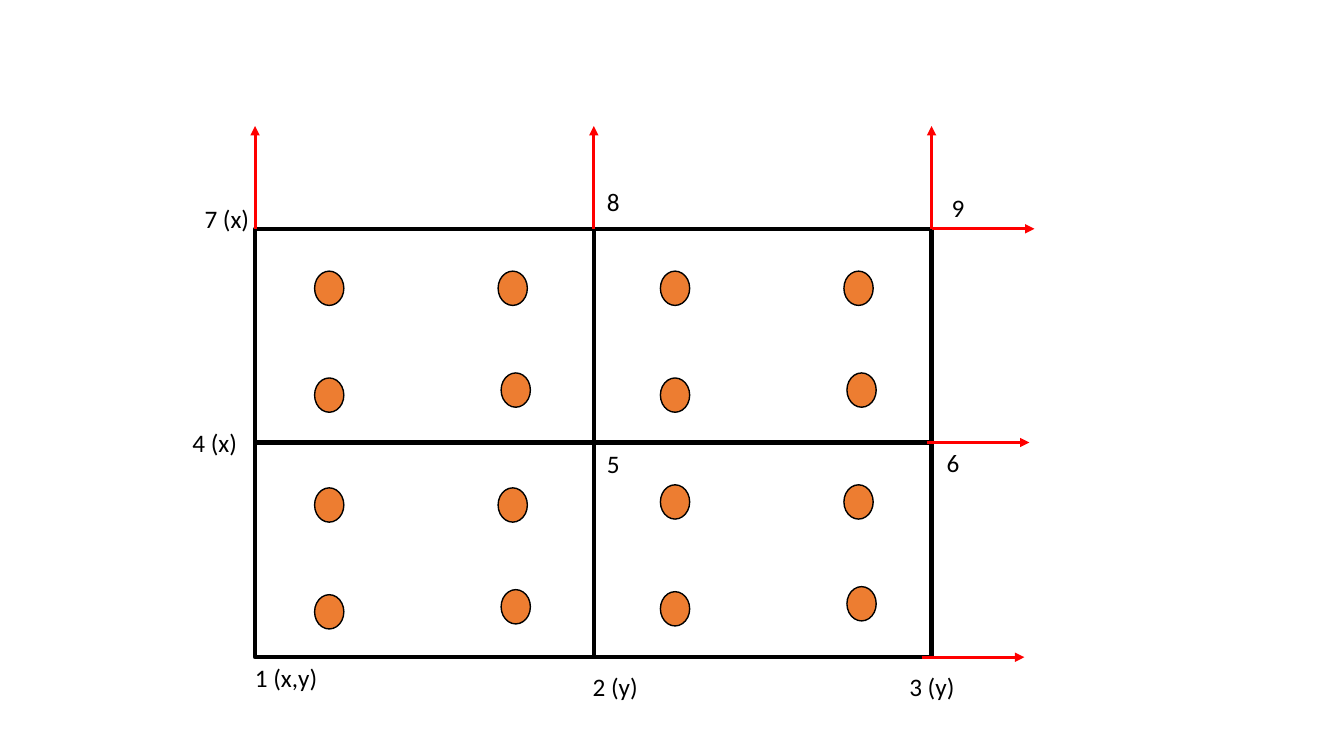
from dataclasses import dataclass

from lxml import etree
from pptx import Presentation
from pptx.dml.color import RGBColor
from pptx.enum.shapes import MSO_CONNECTOR, MSO_SHAPE
from pptx.enum.text import MSO_AUTO_SIZE
from pptx.oxml.ns import qn
from pptx.util import Inches, Pt

LINE = MSO_CONNECTOR.STRAIGHT
RECT, OVAL = MSO_SHAPE.RECTANGLE, MSO_SHAPE.OVAL
GROW = MSO_AUTO_SIZE.SHAPE_TO_FIT_TEXT


@dataclass(frozen=True)
class Theme:
    """Colours, font and sizes in points."""
    ink: str = "000000"
    arrow: str = "FF0000"
    point: str = "ED7D31"
    font: str = "Calibri"
    text: float = 18
    mesh_line: float = 3
    arrow_line: float = 2.25
    point_line: float = 1


def add_text(sp, text, font, size, color):
    """Write one formatted run into a shape."""
    tf = sp.text_frame
    tf.word_wrap = True
    tf.auto_size = GROW
    r = tf.paragraphs[0].add_run()
    r.text = text
    r.font.name, r.font.size = font, Pt(size)
    r.font.color.rgb = RGBColor.from_string(color)


class Canvas:
    """Draws styled elements on the current slide."""

    def __init__(self, s, theme):
        """Keep the slide and its theme."""
        self.s, self.theme = s, theme

    def shape(self, kind, x, y, w, h, weight, fill=None):
        """Add an outlined preset shape, filled if a colour is given."""
        sp = self.s.shapes.add_shape(kind, Inches(x), Inches(y), Inches(w), Inches(h))
        sp.shadow.inherit = False
        if fill:
            sp.fill.solid()
            sp.fill.fore_color.rgb = RGBColor.from_string(fill)
        else:
            sp.fill.background()
        sp.line.color.rgb = RGBColor.from_string(self.theme.ink)
        sp.line.width = Pt(weight)

    def line(self, x1, y1, x2, y2, color, weight):
        """Add a straight line without shadow."""
        sp = self.s.shapes.add_connector(LINE, Inches(x1), Inches(y1), Inches(x2), Inches(y2))
        sp.line.color.rgb = RGBColor.from_string(color)
        sp.line.width = Pt(weight)
        etree.SubElement(sp._element.spPr, qn("a:effectLst"))
        return sp

    def mesh_line(self, x1, y1, x2, y2):
        """Add an inner line of the mesh."""
        self.line(x1, y1, x2, y2, self.theme.ink, self.theme.mesh_line)

    def arrow(self, x, y, dx, dy):
        """Add an arrow from a node along an offset."""
        sp = self.line(x, y, x + dx, y + dy, self.theme.arrow, self.theme.arrow_line)
        etree.SubElement(sp.line._get_or_add_ln(), qn("a:tailEnd"), type="triangle")

    def label(self, text, x, y, w):
        """Add a node label."""
        sp = self.s.shapes.add_textbox(Inches(x), Inches(y), Inches(w), Inches(0.4))
        add_text(sp, text, font=self.theme.font, size=self.theme.text, color=self.theme.ink)

    def point(self, x, y):
        """Add an integration point."""
        self.shape(OVAL, x, y, 0.29, 0.34, self.theme.point_line, self.theme.point)


LEFT, MIDDLE, RIGHT = 2.53, 5.89, 9.24
TOP, CENTRE, BOTTOM = 2.27, 4.39, 6.52
ARROW = 1.02
NODE_LABELS = [
    ("1 (x,y)", 2.43, 6.52, 0.97), ("2 (y)", 5.78, 6.61, 0.73), ("3 (y)", 8.92, 6.61, 1.08),
    ("4 (x)", 1.81, 4.19, 0.89), ("5", 5.92, 4.4, 0.65), ("6", 9.29, 4.39, 0.65),
    ("7 (x)", 1.93, 1.97, 0.65), ("8", 5.92, 1.8, 0.65), ("9", 9.34, 1.86, 0.65),
]
POINT_GROUPS = [(3.12, 2.69), (6.55, 2.69), (3.12, 4.84), (6.55, 4.81)]
POINT_OFFSETS = [(0, 0), (1.82, 0), (1.85, 1.01), (0, 1.06)]


def main():
    """Build the four-element mesh slide."""
    prs = Presentation()
    prs.slide_width, prs.slide_height = Inches(13.33), Inches(7.5)
    theme = Theme()
    c = Canvas(prs.slides.add_slide(prs.slide_layouts[6]), theme)

    c.shape(RECT, LEFT, TOP, RIGHT - LEFT, BOTTOM - TOP, theme.mesh_line)
    c.mesh_line(MIDDLE, TOP, MIDDLE, BOTTOM)
    c.mesh_line(LEFT, CENTRE, RIGHT, CENTRE)
    for label in NODE_LABELS:
        c.label(*label)
    for row, y in enumerate((TOP, CENTRE, BOTTOM)):
        c.arrow(RIGHT - 0.05 * row, y, ARROW, 0)
    for x in (MIDDLE, LEFT, RIGHT):
        c.arrow(x, TOP, 0, -ARROW)
    for x, y in POINT_GROUPS:
        for dx, dy in POINT_OFFSETS:
            c.point(x + dx, y + dy)
    prs.save("out.pptx")


main()
